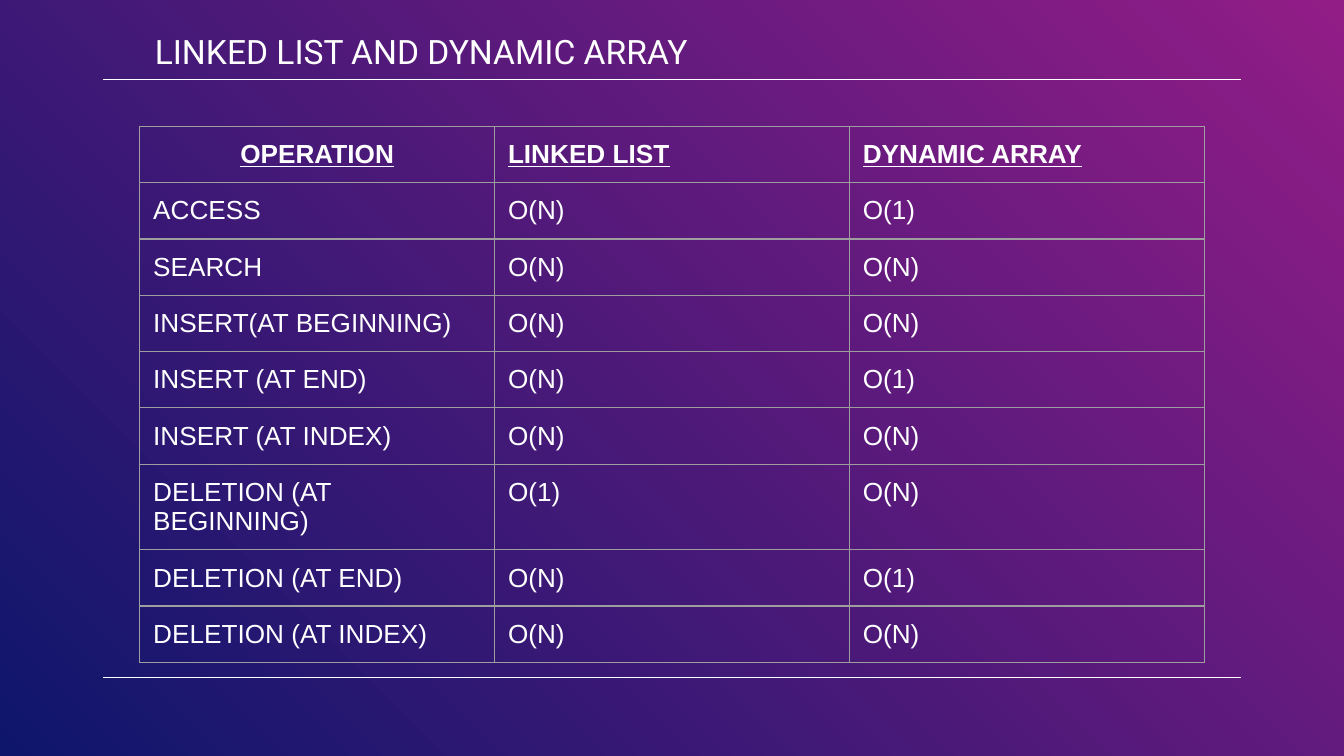
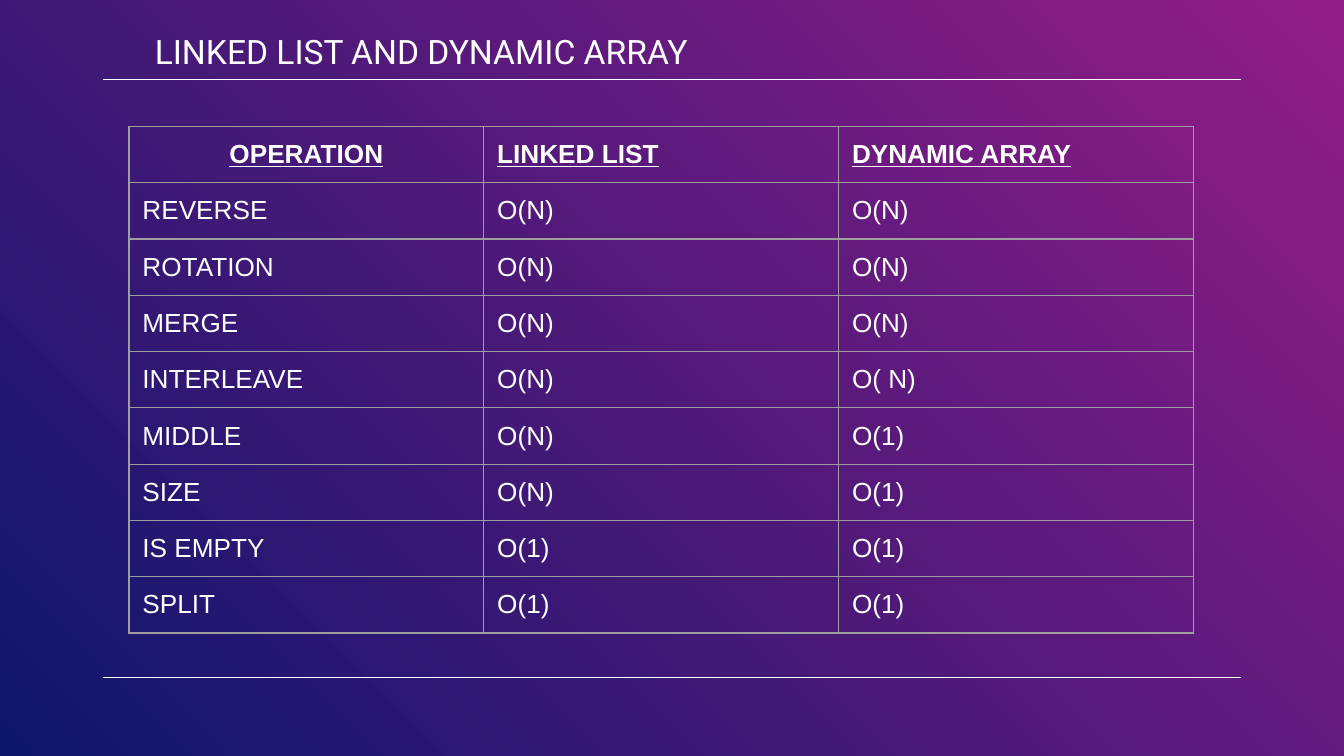
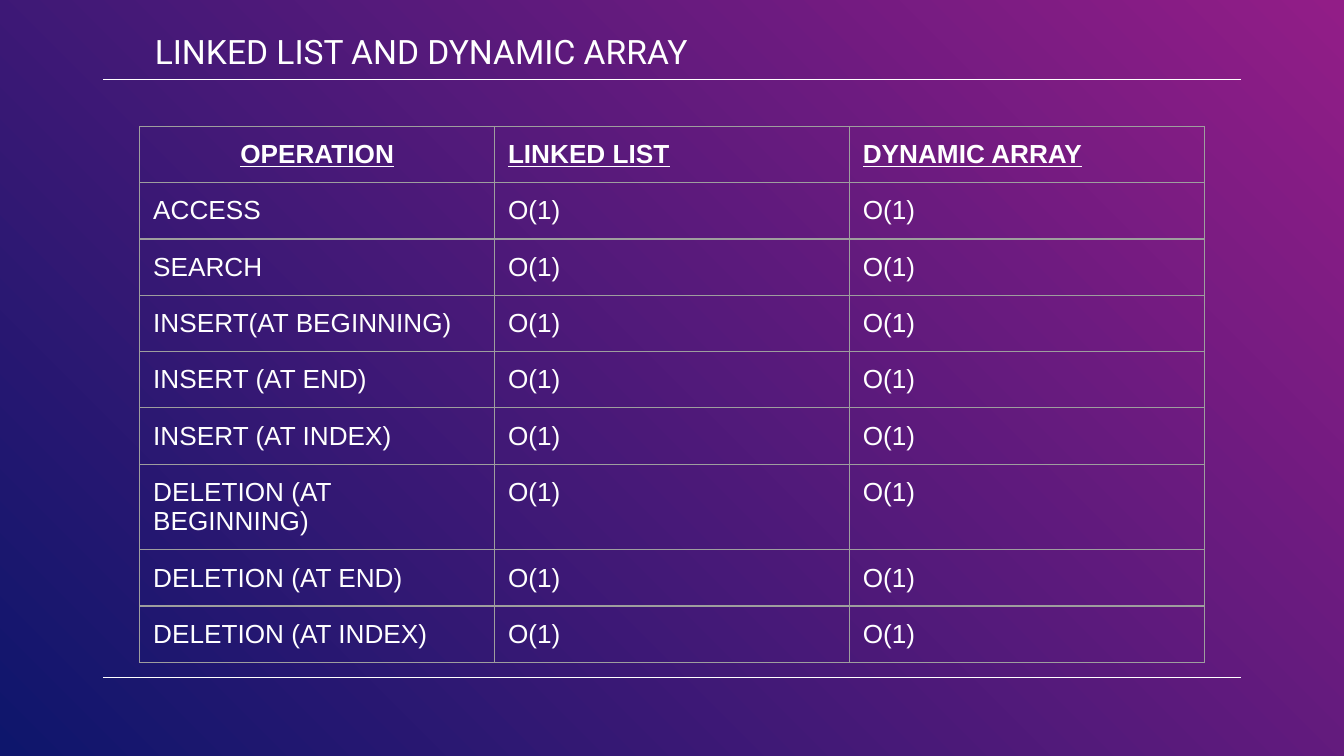
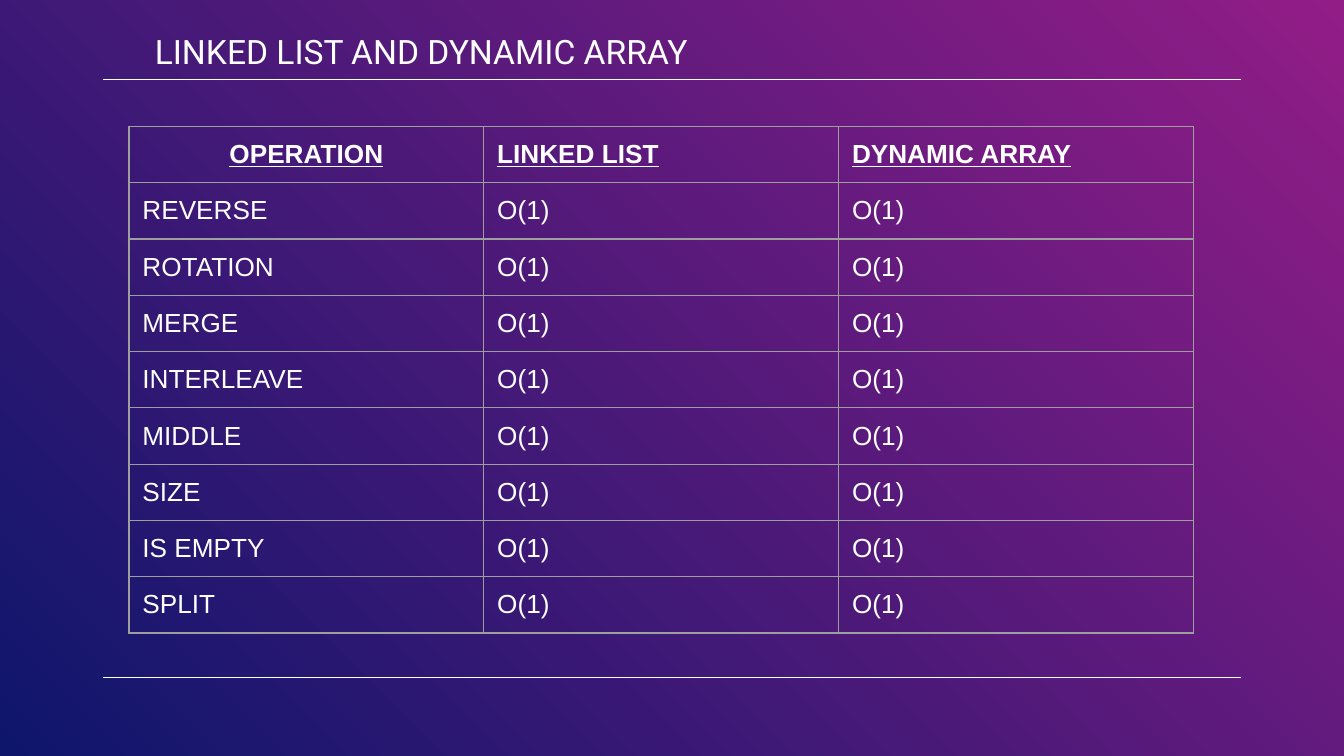
from lxml.etree import SubElement
from pptx import Presentation
from pptx.dml.color import RGBColor
from pptx.enum.shapes import MSO_CONNECTOR
from pptx.enum.text import MSO_ANCHOR, MSO_AUTO_SIZE, PP_ALIGN
from pptx.oxml.ns import qn
from pptx.util import Inches, Pt

TITLE = " LINKED LIST AND DYNAMIC ARRAY"
HEADER = ("OPERATION", "LINKED LIST", "DYNAMIC ARRAY")
BASIC_TIMES = [
    ("ACCESS", "O(N)", "O(1)"),
    ("SEARCH", "O(N)", "O(N)"),
    ("INSERT(AT BEGINNING)", "O(N)", "O(N)"),
    ("INSERT (AT END)", "O(N)", "O(1)"),
    ("INSERT (AT INDEX)", "O(N)", "O(N)"),
    ("DELETION (AT BEGINNING)", "O(1)", "O(N)"),
    ("DELETION (AT END)", "O(N)", "O(1)"),
    ("DELETION (AT INDEX)", "O(N)", "O(N)"),
]
FURTHER_TIMES = [
    ("REVERSE", "O(N)", "O(N)"),
    ("ROTATION", "O(N)", "O(N)"),
    ("MERGE", "O(N)", "O(N)"),
    ("INTERLEAVE", "O(N)", "O( N)"),
    ("MIDDLE", "O(N)", "O(1)"),
    ("SIZE", "O(N)", "O(1)"),
    ("IS EMPTY", "O(1)", "O(1)"),
    ("SPLIT", "O(1)", "O(1)"),
]


def constant_costs(rows):
    """Keep the operations and give each a cost of O(1) in both structures."""
    return [(operation, "O(1)", "O(1)") for operation, *_ in rows]


BASIC_LEFT, FURTHER_LEFT = 1.04, 0.96
SLIDES = [
    (BASIC_LEFT, BASIC_TIMES),
    (FURTHER_LEFT, FURTHER_TIMES),
    (BASIC_LEFT, constant_costs(BASIC_TIMES)),
    (FURTHER_LEFT, constant_costs(FURTHER_TIMES)),
]

COLOURS = {
    "magenta": "921D87",
    "navy": "0E166C",
    "white": "FFFFFF",
    "grid": "9E9E9E",
}
SLIDE_WIDTH = Inches(10)
SLIDE_HEIGHT = SLIDE_WIDTH * 9 // 16
TABLE_TOP, COLUMN_WIDTH, ROW_HEIGHT = 0.94, 2.64, 5 / 12
RULE_LEFT, RULE_RIGHT, RULE_HEIGHTS = 0.77, 9.23, (0.59, 5.04)
LINE_WIDTH = Pt(0.75)
MARGIN = Inches(0.1)


def colour(name):
    return RGBColor.from_string(COLOURS[name])


def set_margins(target):
    target.margin_left = target.margin_right = MARGIN
    target.margin_top = target.margin_bottom = MARGIN


def write_text(frame, text, *, size=14, font="Arial", bold=False,
               underline=False, align=PP_ALIGN.LEFT):
    paragraph = frame.paragraphs[0]
    paragraph.alignment = align
    run = paragraph.add_run()
    run.text = text
    run.font.name = font
    run.font.size = Pt(size)
    run.font.bold = bold
    run.font.underline = underline
    run.font.color.rgb = colour("white")


def paint_background(target):
    fill = target.background.fill
    fill.gradient()
    fill.gradient_angle = 225
    for stop, name in zip(fill.gradient_stops, ("magenta", "navy")):
        stop.color.rgb = colour(name)


def add_rules(slide):
    for height in RULE_HEIGHTS:
        rule = slide.shapes.add_connector(
            MSO_CONNECTOR.STRAIGHT, Inches(RULE_LEFT), Inches(height),
            Inches(RULE_RIGHT), Inches(height))
        rule.line.color.rgb = colour("white")
        rule.line.width = LINE_WIDTH
        SubElement(rule._element.spPr, qn("a:effectLst"))


def add_title(slide):
    title = slide.shapes.title
    title.left, title.top = Inches(0.99), Inches(0.13)
    title.width, title.height = Inches(7.92), Inches(0.28)
    frame = title.text_frame
    frame.auto_size = MSO_AUTO_SIZE.NONE
    frame.vertical_anchor = MSO_ANCHOR.TOP
    frame.word_wrap = True
    set_margins(frame)
    write_text(frame, TITLE, size=18, font="Roboto")


def format_cell(cell):
    """Give the cell a thin grid line on each side and no fill."""
    properties = cell._tc.get_or_add_tcPr()
    for side in ("lnL", "lnR", "lnT", "lnB"):
        line = SubElement(properties, qn(f"a:{side}"), w=str(LINE_WIDTH))
        fill = SubElement(line, qn("a:solidFill"))
        SubElement(fill, qn("a:srgbClr"), val=COLOURS["grid"])
    cell.fill.background()
    set_margins(cell)


def add_cost_table(slide, left, rows):
    lines = [HEADER, *rows]
    table = slide.shapes.add_table(
        len(lines), len(HEADER), Inches(left), Inches(TABLE_TOP),
        Inches(COLUMN_WIDTH * len(HEADER)), Inches(ROW_HEIGHT * len(lines))).table
    table.first_row = table.horz_banding = False
    for column in table.columns:
        column.width = Inches(COLUMN_WIDTH)
    for row_index, texts in enumerate(lines):
        table.rows[row_index].height = Inches(ROW_HEIGHT)
        is_header = row_index == 0
        for column_index, text in enumerate(texts):
            cell = table.cell(row_index, column_index)
            format_cell(cell)
            centred = is_header and column_index == 0
            write_text(cell.text_frame, text, bold=is_header, underline=is_header,
                       align=PP_ALIGN.CENTER if centred else PP_ALIGN.LEFT)


def main():
    presentation = Presentation()
    presentation.slide_width = SLIDE_WIDTH
    presentation.slide_height = SLIDE_HEIGHT
    layout = presentation.slide_layouts.get_by_name("Title Only")
    paint_background(layout)
    for left, rows in SLIDES:
        slide = presentation.slides.add_slide(layout)
        add_rules(slide)
        add_cost_table(slide, left, rows)
        add_title(slide)
    presentation.save("out.pptx")


if __name__ == "__main__":
    main()
